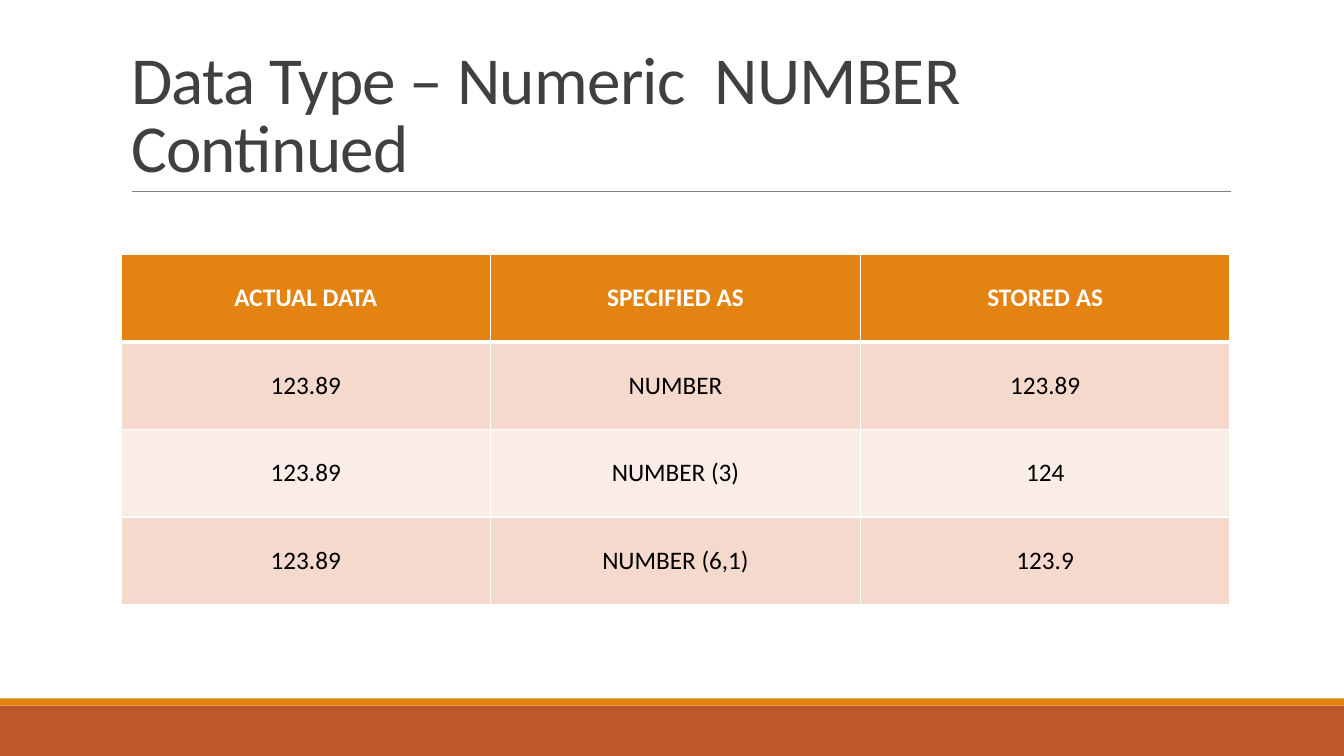
from dataclasses import dataclass

from lxml.etree import SubElement
from pptx import Presentation
from pptx.dml.color import RGBColor
from pptx.enum.shapes import MSO_CONNECTOR, MSO_SHAPE
from pptx.enum.text import MSO_ANCHOR, MSO_AUTO_SIZE, PP_ALIGN
from pptx.oxml.ns import qn
from pptx.util import Inches, Pt


@dataclass(frozen=True)
class Theme:
    font: str = "Calibri"
    title_size: int = 48
    table_size: int = 18
    title: str = "404040"
    rule: str = "808080"
    orange: str = "E48312"
    rust: str = "BD582C"
    white: str = "FFFFFF"
    body: str = "000000"
    bands: tuple = ("F5D9CC", "FAEDE7")


THEME = Theme()

TITLE = "Data Type – Numeric  NUMBER Continued"
NUMBER_ROWS = [
    ("ACTUAL DATA", "SPECIFIED AS", "STORED AS"),
    ("123.89", "NUMBER", "123.89"),
    ("123.89", "NUMBER (3)", "124"),
    ("123.89", "NUMBER (6,1)", "123.9"),
]


def rgb(color):
    return RGBColor.from_string(color)


def style_font(font, size, color, bold=False):
    font.name = THEME.font
    font.size = Pt(size)
    font.bold = bold
    font.color.rgb = rgb(color)


def add_band(slide, top, height, color):
    band = slide.shapes.add_shape(
        MSO_SHAPE.RECTANGLE, 0, Inches(top), Inches(13.33), Inches(height))
    band.shadow.inherit = False
    band.fill.solid()
    band.fill.fore_color.rgb = rgb(color)
    band.line.fill.background()


def add_title_rule(slide):
    rule = slide.shapes.add_connector(
        MSO_CONNECTOR.STRAIGHT, Inches(1.31), Inches(1.9), Inches(12.21), Inches(1.9))
    rule.line.color.rgb = rgb(THEME.rule)
    rule.line.width = Pt(0.5)
    SubElement(rule._element.spPr, qn("a:effectLst"))


def set_title(slide, text):
    title = slide.shapes.title
    title.left, title.top = Inches(1.2), Inches(0.31)
    title.width, title.height = Inches(11), Inches(1.59)
    frame = title.text_frame
    frame.text = text
    frame.word_wrap = True
    frame.auto_size = MSO_AUTO_SIZE.NONE
    frame.vertical_anchor = MSO_ANCHOR.BOTTOM
    heading = frame.paragraphs[0]
    heading.alignment = PP_ALIGN.LEFT
    heading.line_spacing = 0.85
    heading_run = heading.runs[0]
    style_font(heading_run.font, THEME.title_size, THEME.title)
    heading_run._r.get_or_add_rPr().set("spc", "-50")


def set_borders(cell, widths):
    properties = cell._tc.get_or_add_tcPr()
    for side, width in widths.items():
        border = SubElement(properties, qn(f"a:ln{side}"), w=str(Pt(width)))
        color = SubElement(SubElement(border, qn("a:solidFill")), qn("a:srgbClr"))
        color.set("val", THEME.white)


def fill_cell(cell, text, row):
    is_header = row == 0
    set_borders(cell, {"L": 1, "R": 1, "T": 3 if row == 1 else 1, "B": 3 if is_header else 1})
    cell.fill.solid()
    cell.fill.fore_color.rgb = rgb(THEME.orange if is_header else THEME.bands[(row - 1) % 2])
    cell.vertical_anchor = MSO_ANCHOR.MIDDLE
    cell.text = text
    entry = cell.text_frame.paragraphs[0]
    entry.alignment = PP_ALIGN.CENTER
    style_font(entry.runs[0].font, THEME.table_size,
               THEME.white if is_header else THEME.body, is_header)


def add_number_table(slide, rows):
    table = slide.shapes.add_table(
        len(rows), len(rows[0]), Inches(1.2), Inches(2.52), Inches(11), Inches(3.48)).table
    for row, texts in enumerate(rows):
        for column, text in enumerate(texts):
            fill_cell(table.cell(row, column), text, row)


def main():
    deck = Presentation()
    deck.slide_width, deck.slide_height = Inches(13.33), Inches(7.5)
    slide = deck.slides.add_slide(deck.slide_layouts.get_by_name("Title Only"))
    add_band(slide, 7, 0.5, THEME.rust)
    add_band(slide, 6.93, 0.07, THEME.orange)
    add_title_rule(slide)
    set_title(slide, TITLE)
    add_number_table(slide, NUMBER_ROWS)
    deck.save("out.pptx")


if __name__ == "__main__":
    main()
